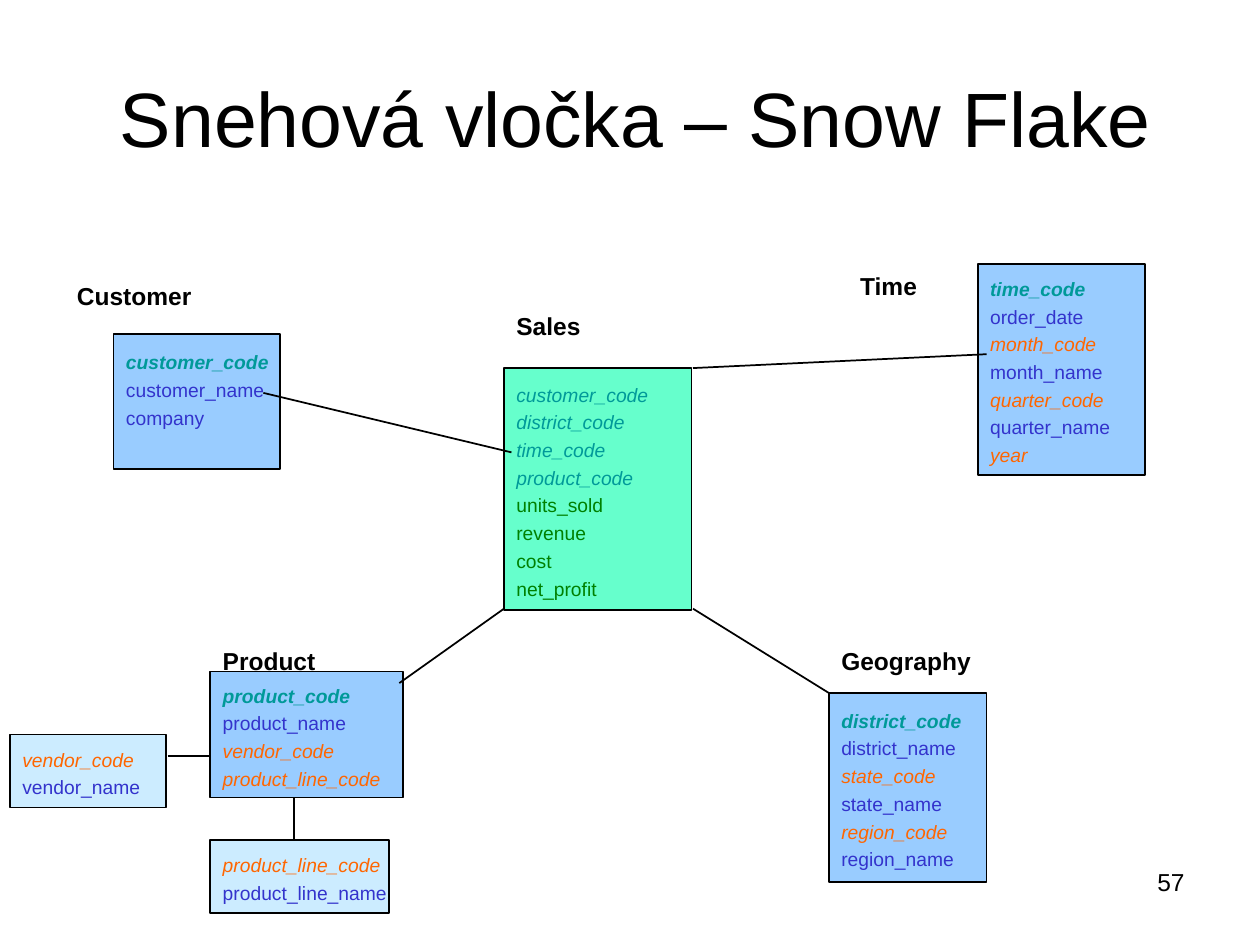
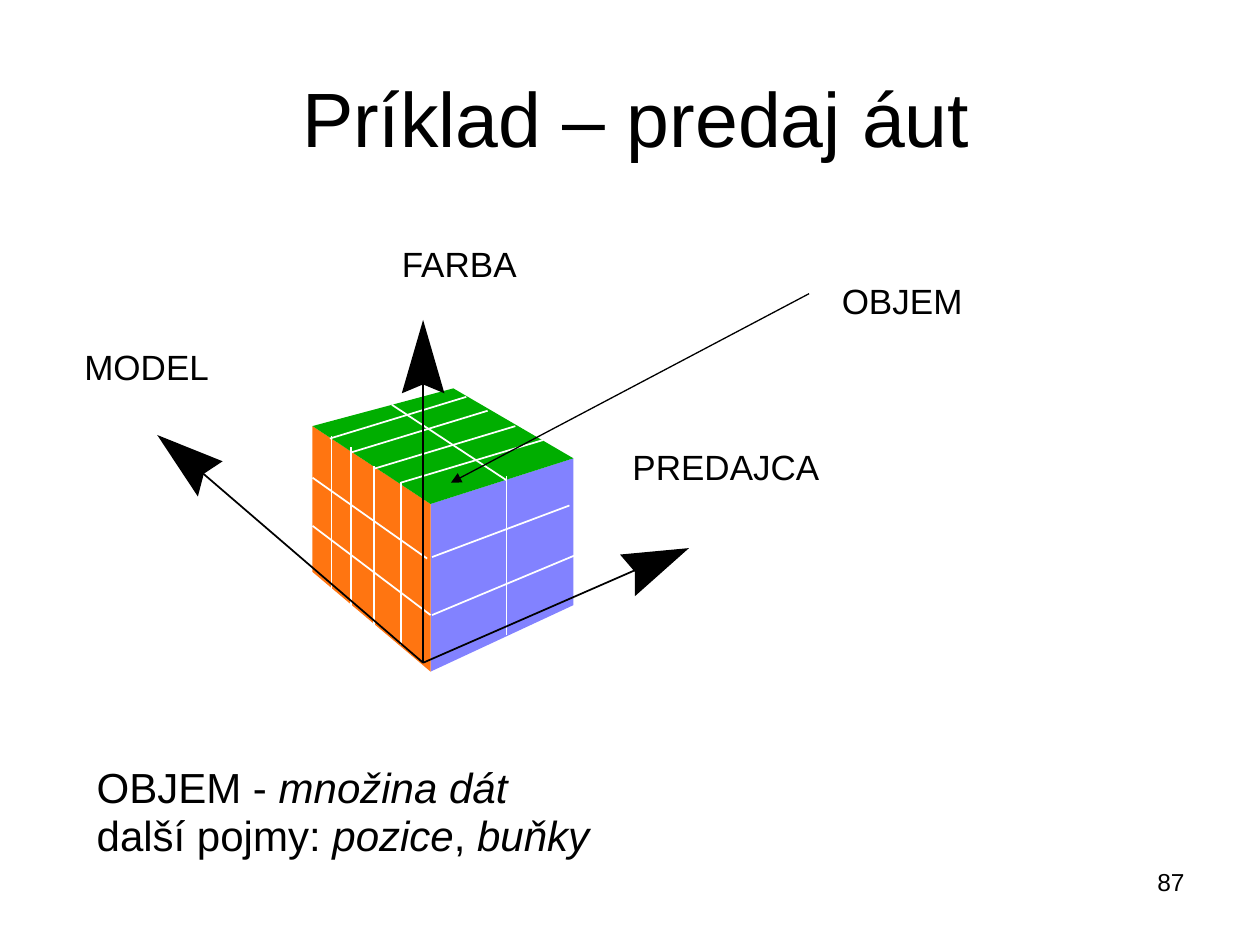
from collections import namedtuple

from lxml import etree
from pptx import Presentation
from pptx.dml.color import RGBColor
from pptx.enum.shapes import MSO_CONNECTOR, MSO_SHAPE
from pptx.enum.text import MSO_ANCHOR, PP_ALIGN
from pptx.oxml.ns import qn
from pptx.util import Cm, Pt

RECTANGLE = MSO_SHAPE.RECTANGLE
STRAIGHT = MSO_CONNECTOR.STRAIGHT
TOP, MIDDLE = MSO_ANCHOR.TOP, MSO_ANCHOR.MIDDLE
LEFT, CENTER, RIGHT = PP_ALIGN.LEFT, PP_ALIGN.CENTER, PP_ALIGN.RIGHT

FONT = "Arial"
BLACK = RGBColor(0x00, 0x00, 0x00)
WHITE = RGBColor(0xFF, 0xFF, 0xFF)
TEAL = RGBColor(0x00, 0x99, 0x99)
BLUE = RGBColor(0x33, 0x33, 0xCC)
ORANGE = RGBColor(0xFF, 0x66, 0x00)
GREEN = RGBColor(0x00, 0x80, 0x00)
DIMENSION_FILL = RGBColor(0x99, 0xCC, 0xFF)
SUBDIMENSION_FILL = RGBColor(0xCC, 0xEC, 0xFF)
FACT_FILL = RGBColor(0x66, 0xFF, 0xCC)
CUBE_RIGHT = RGBColor(0x82, 0x82, 0xFF)
CUBE_LEFT = RGBColor(0xFF, 0x75, 0x11)
CUBE_TOP = RGBColor(0x00, 0xAE, 0x00)

Box = namedtuple("Box", "left top width height")
Style = namedtuple("Style", "color bold italic", defaults=(BLACK, False, False))
Entity = namedtuple("Entity", "box fill fields label bottom", defaults=(None, 0.13))

PLAIN = Style()
STRONG = Style(bold=True)
SLANTED = Style(italic=True)
KEY = Style(TEAL, True, True)
FOREIGN_KEY = Style(TEAL, italic=True)
LEVEL = Style(ORANGE, italic=True)
ATTRIBUTE = Style(BLUE)
MEASURE = Style(GREEN)

TITLE_BOX = Box(1.27, 0.76, 22.86, 3.18)
NUMBER_BOX = Box(18.21, 17.35, 5.92, 1.32)
INSETS = (0.25, 0.13, 0, 0.13)
NO_INSETS = (0, 0, 0, 0)

ENTITIES = [
    Entity(Box(2.29, 6.73, 3.35, 2.72), DIMENSION_FILL,
           [("customer_code", KEY), ("customer_name", ATTRIBUTE), ("company", ATTRIBUTE)],
           ("Customer", -0.99, -1.19), 0.69),
    Entity(Box(19.71, 5.33, 3.38, 4.24), DIMENSION_FILL,
           [("time_code", KEY), ("order_date", ATTRIBUTE), ("month_code", LEVEL),
            ("month_name", ATTRIBUTE), ("quarter_code", LEVEL),
            ("quarter_name", ATTRIBUTE), ("year", LEVEL)],
           ("Time", -2.62, 0)),
    Entity(Box(16.71, 13.97, 3.18, 3.81), DIMENSION_FILL,
           [("district_code", KEY), ("district_name", ATTRIBUTE), ("state_code", LEVEL),
            ("state_name", ATTRIBUTE), ("region_code", LEVEL), ("region_name", ATTRIBUTE)],
           ("Geography", 0, -1.07)),
    Entity(Box(4.24, 13.54, 3.89, 2.54), DIMENSION_FILL,
           [("product_code", KEY), ("product_name", ATTRIBUTE),
            ("vendor_code", LEVEL), ("product_line_code", LEVEL)],
           ("Product", 0, -0.64)),
    Entity(Box(10.16, 7.42, 3.78, 4.88), FACT_FILL,
           [("customer_code", FOREIGN_KEY), ("district_code", FOREIGN_KEY),
            ("time_code", FOREIGN_KEY), ("product_code", FOREIGN_KEY),
            ("units_sold", MEASURE), ("revenue", MEASURE),
            ("cost", MEASURE), ("net_profit", MEASURE)],
           ("Sales", 0, -1.27)),
    Entity(Box(4.24, 16.94, 3.61, 1.47), SUBDIMENSION_FILL,
           [("product_line_code", LEVEL), ("product_line_name", ATTRIBUTE)]),
    Entity(Box(0.2, 14.81, 3.15, 1.47), SUBDIMENSION_FILL,
           [("vendor_code", LEVEL), ("vendor_name", ATTRIBUTE)]),
]
RELATIONS = [
    ((5.31, 7.92), (10.31, 9.12)),
    ((19.89, 7.14), (13.97, 7.42)),
    ((10.16, 12.27), (8.05, 13.77)),
    ((13.97, 12.27), (16.71, 13.97)),
    ((3.38, 15.24), (4.24, 15.24)),
    ((5.92, 16.08), (5.92, 16.94)),
]

NEAR_TOP, NEAR_BOTTOM = (6.98, 5.28), (6.98, 8.66)
LEFT_TOP, LEFT_BOTTOM = (4.6, 3.71), (4.6, 6.65)
RIGHT_TOP, RIGHT_BOTTOM = (9.86, 4.36), (9.86, 7.32)
FACES = [
    (CUBE_RIGHT, [NEAR_BOTTOM, NEAR_TOP, RIGHT_TOP, RIGHT_BOTTOM]),
    (CUBE_LEFT, [LEFT_TOP, LEFT_BOTTOM, NEAR_BOTTOM, NEAR_TOP]),
    (CUBE_TOP, [LEFT_TOP, NEAR_TOP, RIGHT_TOP, (7.44, 2.95)]),
]
CUTS = [
    ((4.98, 7.01), (4.98, 3.91)), ((4.95, 3.96), (7.7, 3.12)),
    ((5.38, 7.34), (5.38, 4.14)), ((5.38, 4.24), (8.13, 3.4)),
    ((5.84, 7.72), (5.84, 4.52)), ((5.84, 4.57), (8.69, 3.71)),
    ((6.38, 8.13), (6.38, 4.83)), ((6.38, 4.85), (9.25, 3.99)),
    ((6.98, 7.52), (4.6, 5.72)), ((7.01, 7.52), (9.88, 6.32)),
    ((6.91, 6.38), (4.6, 4.75)), ((7.01, 6.35), (9.78, 5.31)),
    ((6.2, 3.28), (8.51, 4.8)), ((8.51, 4.72), (8.51, 7.92)),
]
AXIS_ORIGIN = (6.83, 8.48)
AXES = [
    ((11.25, 6.55), [(11.1, 7.14), (11.1, 6.65), (10.8, 6.3), (12.19, 6.17)]),
    ((2.26, 4.55), [(2.79, 4.42), (2.41, 4.67), (2.29, 5.13), (1.47, 3.89)]),
    ((6.83, 2.64), [(7.26, 3.05), (6.83, 2.87), (6.4, 3.05), (6.83, 1.57)]),
]
CUBE_LABELS = [
    ("FARBA", 6.4, 0), ("MODEL", 0, 2.08),
    ("PREDAJCA", 11.05, 4.11), ("OBJEM", 15.27, 0.76),
]


def place(shape, box):
    """Move and size a shape to a box in centimetres."""
    shape.left, shape.top, shape.width, shape.height = map(Cm, box)


def fill_text(shape, lines, size, align=LEFT, anchor=TOP, insets=INSETS, spacing=None):
    """Write lines of (text, style) runs into a shape."""
    frame = shape.text_frame
    frame.word_wrap = True
    frame.vertical_anchor = anchor
    (frame.margin_left, frame.margin_top,
     frame.margin_right, frame.margin_bottom) = map(Cm, insets)
    for index, line in enumerate(lines):
        para = frame.add_paragraph() if index else frame.paragraphs[0]
        para.alignment = align
        para.line_spacing = spacing
        for text, style in line:
            span = para.add_run()
            span.text = text
            span.font.name = FONT
            span.font.size = Pt(size)
            span.font.bold = style.bold
            span.font.italic = style.italic
            span.font.color.rgb = style.color


def add_text(page, box, lines, size, **options):
    """Add a text box."""
    fill_text(page.shapes.add_textbox(*map(Cm, box)), lines, size, **options)


def add_line(page, start, end, color=BLACK, width=1, origin=(0, 0)):
    """Draw a straight line between two points measured from an origin."""
    ends = [Cm(base + step) for point in (start, end) for base, step in zip(origin, point)]
    line = page.shapes.add_connector(STRAIGHT, *ends)
    line.line.color.rgb = color
    line.line.width = Pt(width)
    etree.SubElement(line.line._get_or_add_ln().getparent(), qn("a:effectLst"))
    return line


def add_polygon(page, points, color, origin):
    """Draw a filled outline through points measured from an origin."""
    corners = [(Cm(origin[0] + x), Cm(origin[1] + y)) for x, y in points]
    builder = page.shapes.build_freeform(*corners[0])
    builder.add_line_segments(corners[1:], close=True)
    polygon = builder.convert_to_shape()
    polygon.shadow.inherit = False
    polygon.fill.solid()
    polygon.fill.fore_color.rgb = color
    polygon.line.fill.background()


def add_page(deck, title, number):
    """Add a slide with its title and page number."""
    page = deck.slides.add_slide(deck.slide_layouts[5])
    place(page.shapes.title, TITLE_BOX)
    fill_text(page.shapes.title, [[(title, PLAIN)]], 44, CENTER, MIDDLE)
    add_text(page, NUMBER_BOX, [[(number, PLAIN)]], 14, align=RIGHT,
             insets=(0.25, 0.13, 0.25, 0.13))
    return page


def add_entity(page, entity):
    """Draw one table of the schema with its fields and heading."""
    box = entity.box
    card = page.shapes.add_shape(RECTANGLE, *map(Cm, box))
    card.shadow.inherit = False
    card.fill.solid()
    card.fill.fore_color.rgb = entity.fill
    card.line.color.rgb = BLACK
    card.line.width = Pt(1)
    fill_text(card, [[field] for field in entity.fields], 11, anchor=MIDDLE,
              insets=(0.25, 0.13, 0, entity.bottom), spacing=1.2)
    if entity.label:
        text, right, down = entity.label
        add_text(page, Box(box.left + right, box.top + down, 3.5, 0.84),
                 [[(text, STRONG)]], 14)


def add_cube(page, box):
    """Draw the data cube with its axes, labels and pointer inside a box."""
    origin = box.left, box.top
    for color, corners in FACES:
        add_polygon(page, corners, color, origin)
    for start, end in CUTS:
        add_line(page, start, end, WHITE, origin=origin)
    for end, head in AXES:
        add_line(page, AXIS_ORIGIN, end, origin=origin)
        add_polygon(page, head, BLACK, origin)
    for text, right, down in CUBE_LABELS:
        add_text(page, Box(box.left + right, box.top + down, 4.6, 1.2),
                 [[(text, PLAIN)]], 20, insets=NO_INSETS)
    pointer = add_line(page, (14.61, 1.04), (7.39, 4.85), width=0.75, origin=origin)
    etree.SubElement(pointer.line._get_or_add_ln(), qn("a:tailEnd"), type="triangle")


def build_snowflake(deck):
    """Build the snowflake schema slide."""
    page = add_page(deck, "Snehová vločka – Snow Flake", "57")
    for entity in ENTITIES:
        add_entity(page, entity)
    for start, end in RELATIONS:
        add_line(page, start, end)


def build_car_sales(deck):
    """Build the car sales cube slide."""
    page = add_page(deck, "Príklad – predaj áut", "87")
    add_cube(page, Box(1.7, 4.88, 20, 8.66))
    notes = [
        [("OBJEM - ", PLAIN), ("množina dát", SLANTED)],
        [("další pojmy: ", PLAIN), ("pozice", SLANTED), (", ", PLAIN), ("buňky", SLANTED)],
    ]
    add_text(page, Box(1.7, 15.29, 15.24, 2.2), notes, 24, spacing=Pt(27))


def main():
    """Build and save the deck."""
    deck = Presentation()
    deck.slide_width, deck.slide_height = Cm(25.4), Cm(19.05)
    build_snowflake(deck)
    build_car_sales(deck)
    deck.save("out.pptx")


if __name__ == "__main__":
    main()
